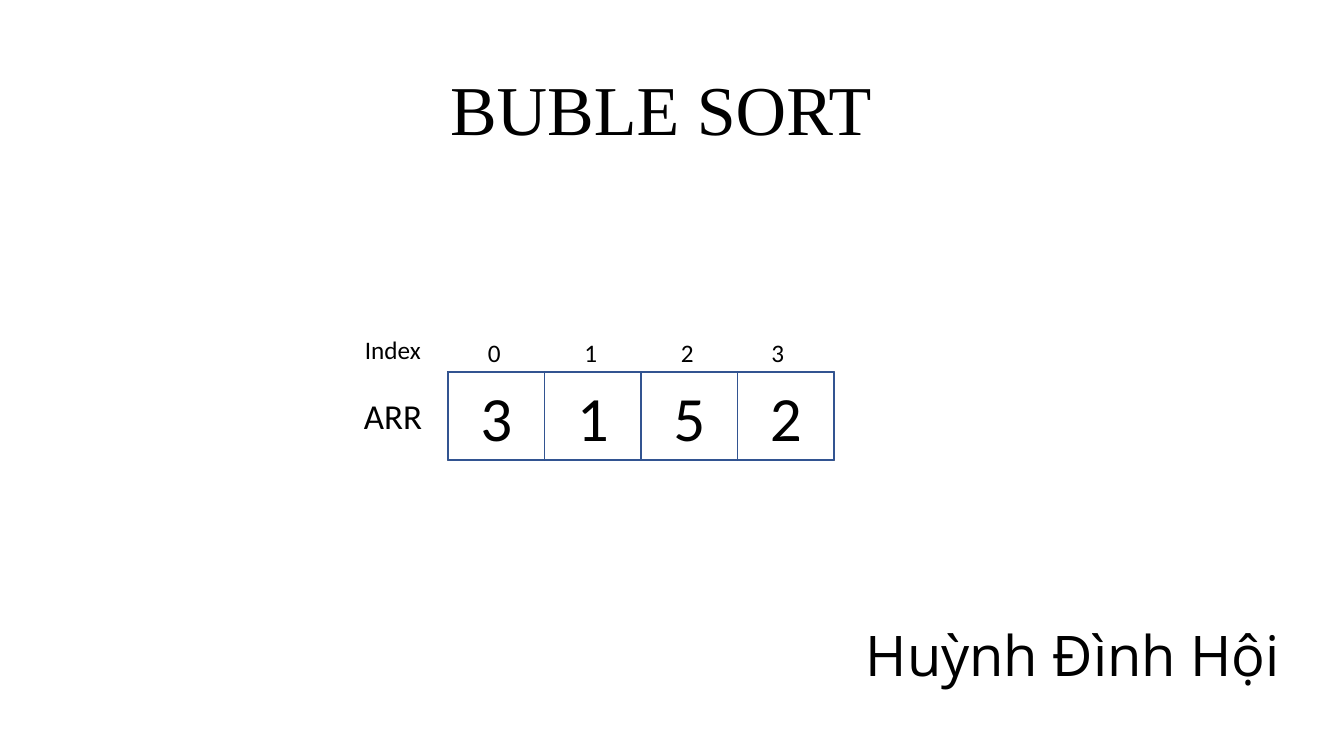
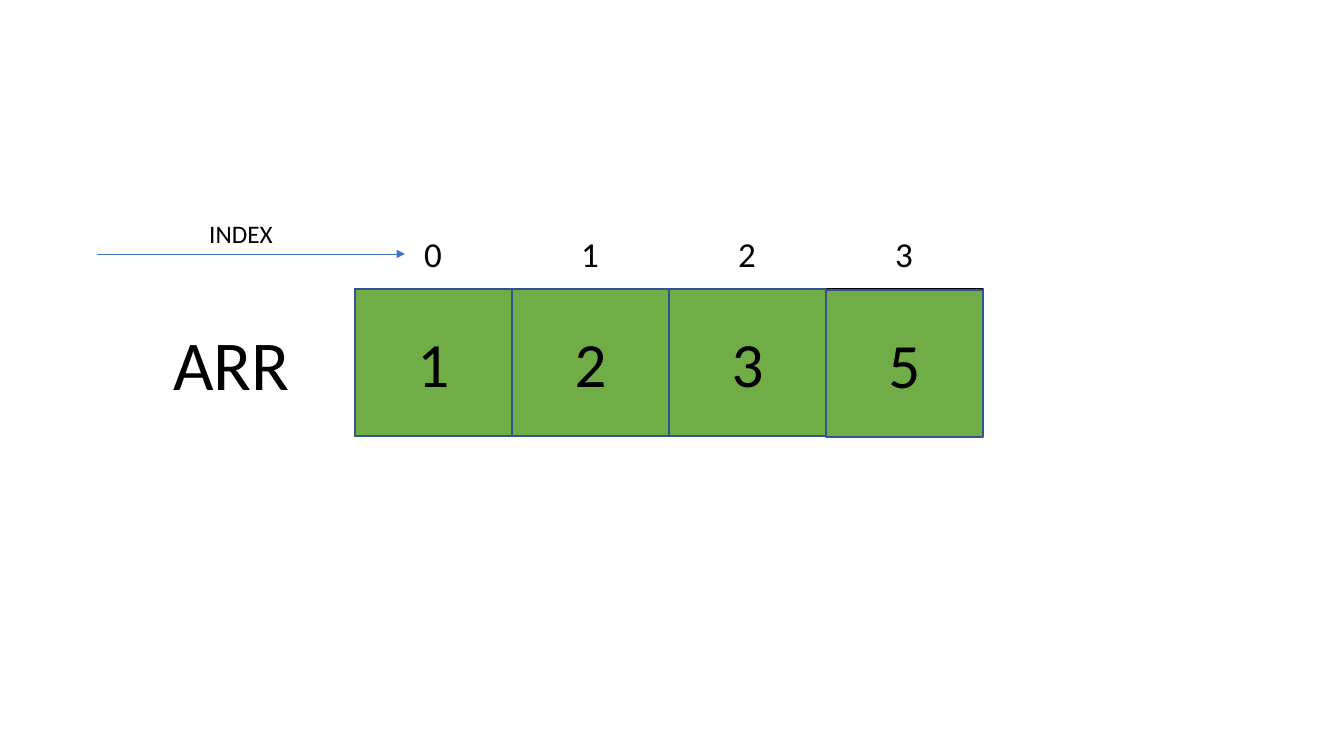
"""Build two slides showing an array before and after a bubble sort."""
from lxml import etree
from pptx import Presentation
from pptx.dml.color import RGBColor
from pptx.enum.shapes import MSO_CONNECTOR, MSO_SHAPE
from pptx.enum.text import MSO_ANCHOR, MSO_AUTO_SIZE, PP_ALIGN
from pptx.oxml import parse_xml
from pptx.oxml.ns import nsdecls, qn
from pptx.util import Emu, Pt

SCALE = 914400 / 100.8
PAGE_SIZE = (1344, 756)
BLACK, WHITE, GREEN = "000000", "FFFFFF", "70AD47"
CELL_LINE, ARROW_BLUE, GLOW = "325491", "4472C4", "FFFF00"
BODY, SERIF, SANS = "Calibri", "Times New Roman", "Open Sans"
LEFT, CENTER = PP_ALIGN.LEFT, PP_ALIGN.CENTER
VALUE_SIZE = 45

SLIDES = [
    {
        "frame": (448, 372, 386, 88),
        "values": ["3", "1", "5", "2"],
        "fill": WHITE,
        "cell_drops": [0, 0, 0, 0],
        "index_box": (478, 332, 39, 40),
        "index_shifts": [0, 0, 0, -6],
        "index_style": (18, BODY, LEFT),
        "labels": [
            ("ARR", (354, 390, 106, 52), 25, BODY, LEFT),
            ("Index", (355, 329, 80, 40), 18, BODY, LEFT),
            ("BUBLE SORT", (352, 61, 618, 95), 50, SERIF, CENTER),
            ("Huỳnh Đình Hội", (856, 616, 526, 78), 40, SANS, LEFT),
        ],
        "arrows": [],
    },
    {
        "frame": (355, 289, 628, 147),
        "values": ["1", "2", "3", "5"],
        "fill": GREEN,
        "cell_drops": [0, 0, 0, 1],
        "index_box": (396, 228, 74, 52),
        "index_shifts": [0, 0, 0, 0],
        "index_style": (25, BODY, CENTER),
        "labels": [
            ("INDEX", (151, 213, 180, 40), 18, BODY, CENTER),
            ("ARR", (135, 316, 193, 95), 50, BODY, CENTER),
        ],
        "arrows": [(97, 254, 405, 254)],
    },
]


def px(*lengths):
    return [Emu(round(length * SCALE)) for length in lengths]


def color(value):
    return RGBColor.from_string(value)


def write(frame, text, size, font, align):
    frame.word_wrap = True
    frame.text = text
    para = frame.paragraphs[0]
    para.alignment = align
    span = para.runs[0]
    span.font.size = Pt(size)
    span.font.name = font
    span.font.color.rgb = color(BLACK)
    return span


def add_label(page, text, place, size, font, align):
    box = page.shapes.add_textbox(*px(*place))
    write(box.text_frame, text, size, font, align)
    box.text_frame.auto_size = MSO_AUTO_SIZE.SHAPE_TO_FIT_TEXT


def add_box(page, place, fill, line):
    box = page.shapes.add_shape(MSO_SHAPE.RECTANGLE, *px(*place))
    box.shadow.inherit = False
    box.fill.solid()
    box.fill.fore_color.rgb = color(fill)
    box.line.color.rgb = color(line)
    box.line.width = Pt(1)
    return box


def add_cell(page, text, place, fill):
    cell = add_box(page, place, fill, CELL_LINE)
    cell.text_frame.vertical_anchor = MSO_ANCHOR.MIDDLE
    span = write(cell.text_frame, text, VALUE_SIZE, BODY, CENTER)
    outline = parse_xml(
        f'<a:ln {nsdecls("a")} w="{Pt(0.75)}"><a:solidFill>'
        f'<a:srgbClr val="{GLOW}"/></a:solidFill></a:ln>')
    span.font._element.insert(0, outline)


def add_arrow(page, ends):
    arrow = page.shapes.add_connector(MSO_CONNECTOR.STRAIGHT, *px(*ends))
    arrow.line.color.rgb = color(ARROW_BLUE)
    arrow.line.width = Pt(0.5)
    etree.SubElement(arrow.line._get_or_add_ln(), qn("a:tailEnd"), type="triangle")
    etree.SubElement(arrow._element.spPr, qn("a:effectLst"))


def add_array(page, content):
    left, top, width, height = content["frame"]
    step = width / len(content["values"])
    add_box(page, content["frame"], WHITE, BLACK)
    for column, (value, drop) in enumerate(zip(content["values"], content["cell_drops"])):
        place = (left + column * step, top + drop, step, height)
        add_cell(page, value, place, content["fill"])
    index_left, *index_rest = content["index_box"]
    for column, shift in enumerate(content["index_shifts"]):
        place = (index_left + column * step + shift, *index_rest)
        add_label(page, str(column), place, *content["index_style"])


deck = Presentation()
deck.slide_width, deck.slide_height = px(*PAGE_SIZE)
for content in SLIDES:
    page = deck.slides.add_slide(deck.slide_layouts[6])
    add_array(page, content)
    for ends in content["arrows"]:
        add_arrow(page, ends)
    for label in content["labels"]:
        add_label(page, *label)
deck.save("out.pptx")
